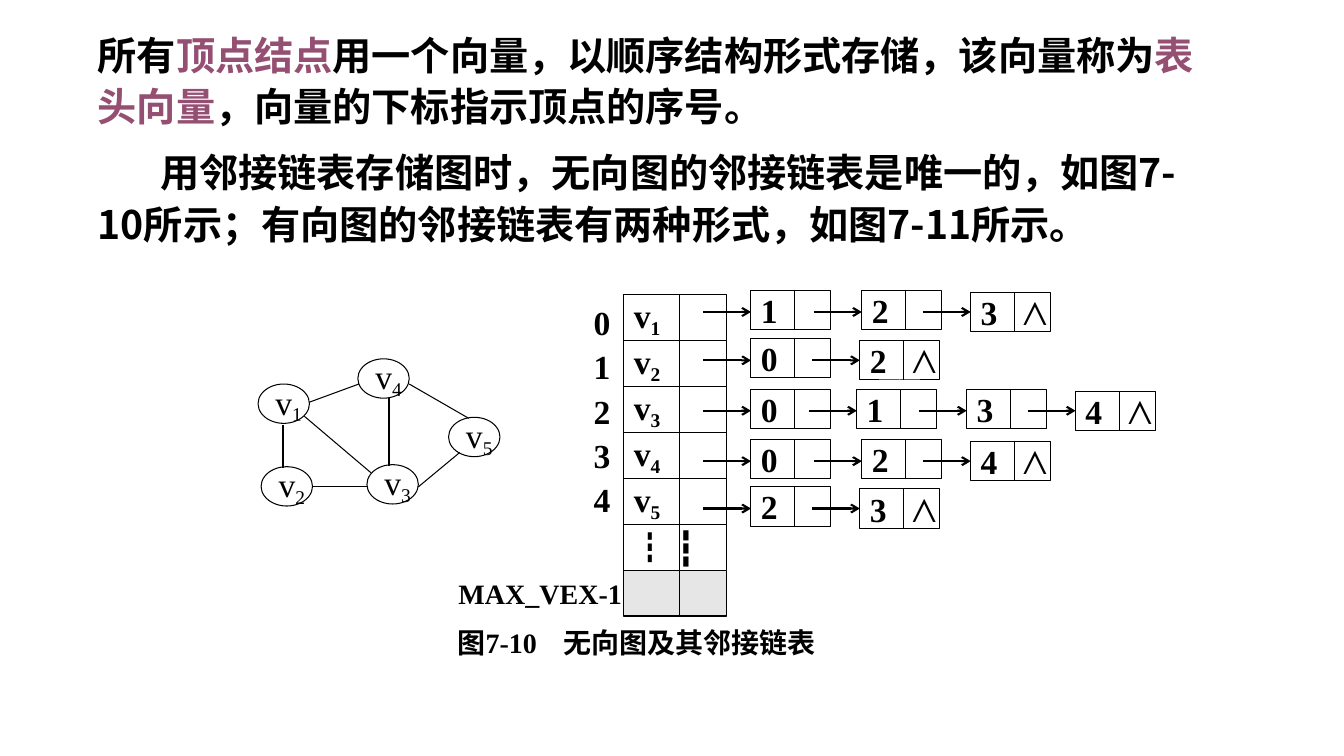
"""Build the slide on storing an undirected graph as adjacency lists."""
from lxml.etree import SubElement
from pptx import Presentation
from pptx.dml.color import RGBColor
from pptx.enum.shapes import MSO_CONNECTOR, MSO_SHAPE
from pptx.enum.text import MSO_ANCHOR, MSO_AUTO_SIZE, PP_ALIGN
from pptx.oxml.ns import qn
from pptx.util import Inches, Pt

BLACK = RGBColor(0x00, 0x00, 0x00)
PLUM = RGBColor(0x95, 0x4F, 0x72)
GREY = RGBColor(0xE7, 0xE6, 0xE6)
SANS = "Noto Sans CJK SC"
SERIF = "Times New Roman"
GRID = Inches(0.1)


def add_run(par, text, size=24, face=SERIF, bold=True, color=BLACK, east=None, base=0):
    run = par.add_run()
    run.text = text
    font = run.font
    font.size, font.name, font.bold = Pt(size), face, bold
    font.color.rgb = color
    props = run._r.get_or_add_rPr()
    if east:
        SubElement(props, qn("a:ea")).set("typeface", east)
    if base:
        props.set("baseline", str(base * 1000))


def cells(*sizes):
    return [round(size * GRID) for size in sizes]


deck = Presentation()
deck.slide_width, deck.slide_height = cells(133.33, 75)
slide = deck.slides.add_slide(deck.slide_layouts[1])
title = slide.shapes.title
title._element.getparent().remove(title._element)

body = slide.placeholders[1]
body.left, body.top, body.width, body.height = cells(8.7, 2.1, 112.1, 26.7)
frame = body.text_frame
frame.word_wrap = True
frame.auto_size = MSO_AUTO_SIZE.NONE
frame.vertical_anchor = MSO_ANCHOR.TOP
intro = [
    (0, [("所有", BLACK), ("顶点结点", PLUM),
         ("用一个向量，以顺序结构形式存储，该向量称为", BLACK),
         ("表头向量", PLUM), ("，向量的下标指示顶点的序号。", BLACK)]),
    (6.2, [("用邻接链表存储图时，无向图的邻接链表是唯一的，如图7-10所示；"
            "有向图的邻接链表有两种形式，如图7-11所示。", BLACK)]),
]
for row, (indent, runs) in enumerate(intro):
    par = frame.add_paragraph() if row else frame.paragraphs[0]
    props = par._p.get_or_add_pPr()
    props.set("marL", "0")
    props.set("indent", str(round(indent * GRID)))
    SubElement(props, qn("a:buNone"))
    par.line_spacing = 1.1
    par.space_before = Pt(10 if row else 0)
    par.alignment = PP_ALIGN.LEFT
    for text, color in runs:
        add_run(par, text, 28, SANS, color=color, east=SANS)

boxes = []
lines = []

for name, left, top in [("1", 25.6, 38.1), ("2", 25.9, 46.3), ("3", 36.4, 46.1),
                        ("4", 35.5, 35.6), ("5", 44.5, 41.4)]:
    runs = [("v", {"bold": False}), (name, {"bold": False, "base": -20})]
    boxes.append((MSO_SHAPE.OVAL, (left, top, 5.1, 3.9), runs, None))

lines += [
    ((28.1, 42.2, 28.1, 46.4), 1.5, False),
    ((38.6, 39.5, 38.6, 46.2), 1.5, False),
    ((30.2, 41.3, 36.8, 46.9), 0.75, False),
    ((30.7, 39.9, 35.6, 38.1), 0.75, False),
    ((31, 48.3, 36.5, 48.3), 0.75, False),
    ((40.6, 38.1, 46.5, 41.5), 0.75, False),
    ((41.5, 48.3, 45.6, 44.9), 0.75, False),
]

heads = [[("v", {}), (str(num), {"base": -20})] for num in range(1, 6)]
heads += [[("┇", {"face": SANS, "east": SANS}), (" ┇", {})], []]
for row, runs in enumerate(heads):
    top = 29.2 + 4.56 * row
    boxes.append((MSO_SHAPE.RECTANGLE, (61.9, top, 10.2, 4.56), runs,
                  None if runs else GREY))
    lines.append(((67.4, top, 67.4, top + 4.56), 0.75, False))

chains = [
    (28.8, "123", [74.5, 85.5, 96.3]),
    (33.6, "02", [74.5, 85.3]),
    (38.6, "0134", [74.5, 85, 95.9, 106.7]),
    (43.6, "024", [74.5, 85.5, 96.3]),
    (48.3, "23", [74.5, 85.3]),
]
for top, nodes, lefts in chains:
    for step, (node, left) in enumerate(zip(nodes, lefts)):
        last = step == len(nodes) - 1
        high = top + 0.2 * last
        runs = [(node + "\t", {}), ("⋀", {"bold": False})] if last else [(node, {})]
        boxes.append((MSO_SHAPE.RECTANGLE, (left, high, 7.9, 3.9), runs, None))
        lines.append(((left + 4.35, high, left + 4.35, high + 3.9), 0.75, False))
        lines.append(((left - 4.75, top + 2.15, left, top + 2.15), 1.5, True))

boxes += [
    (None, (44.4, 62, 40, 3.5),
     [("图7-10\t无向图及其邻接链表", {"size": 20, "east": SANS})], None),
    (None, (44.5, 56.9, 18.5, 3.9), [("MAX_VEX-1", {"size": 20})], None),
]

for kind, place, runs, fill in boxes:
    if kind is None:
        shape = slide.shapes.add_textbox(*cells(*place))
        shape.text_frame.margin_right = 0
    else:
        shape = slide.shapes.add_shape(kind, *cells(*place))
        shape.shadow.inherit = False
        shape.line.color.rgb = BLACK
        shape.line.width = Pt(0.75)
        if fill:
            shape.fill.solid()
            shape.fill.fore_color.rgb = fill
        else:
            shape.fill.background()
    frame = shape.text_frame
    frame.word_wrap = False
    frame.vertical_anchor = MSO_ANCHOR.MIDDLE
    par = frame.paragraphs[0]
    par.alignment = PP_ALIGN.LEFT
    if any("\t" in text for text, look in runs):
        stops = SubElement(par._p.get_or_add_pPr(), qn("a:tabLst"))
        stop = SubElement(stops, qn("a:tab"))
        stop.set("pos", str(round((4.2 if kind else 10.5) * GRID)))
        stop.set("algn", "l")
    for text, look in runs:
        add_run(par, text, **look)

index = slide.shapes.add_textbox(*cells(57.9, 29, 3.9, 23.1)).text_frame
index.word_wrap = False
index.vertical_anchor = MSO_ANCHOR.MIDDLE
for row in range(5):
    par = index.add_paragraph() if row else index.paragraphs[0]
    par.line_spacing = 1.1
    add_run(par, str(row))

for ends, width, arrow in lines:
    link = slide.shapes.add_connector(MSO_CONNECTOR.STRAIGHT, *cells(*ends))
    link.line.color.rgb = BLACK
    link.line.width = Pt(width)
    if arrow:
        SubElement(link.line._get_or_add_ln(), qn("a:tailEnd")).set("type", "arrow")
    SubElement(link._element.spPr, qn("a:effectLst"))

deck.save("out.pptx")
